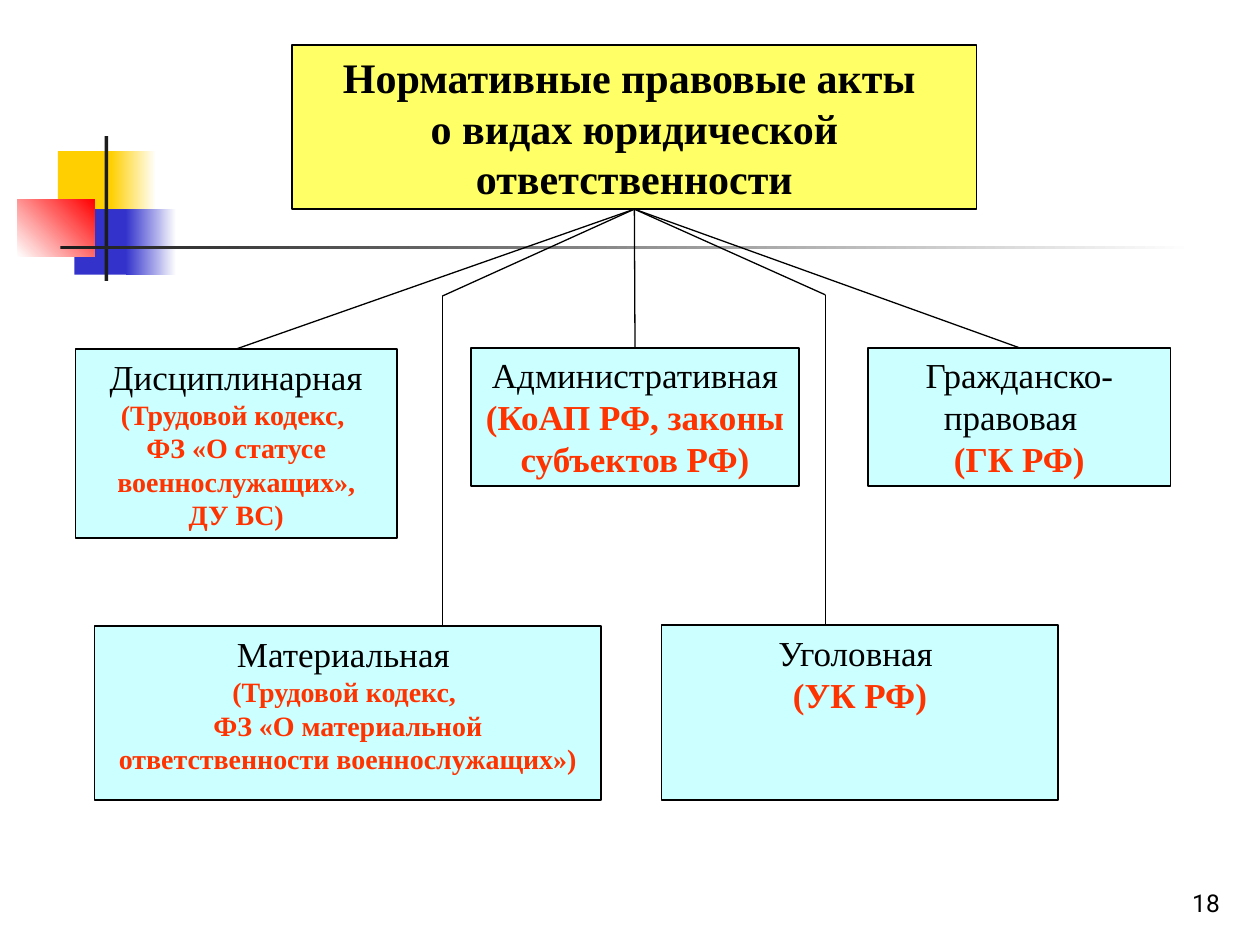
from lxml import etree
from pptx import Presentation
from pptx.dml.color import RGBColor
from pptx.enum import shapes, text
from pptx.oxml.ns import qn
from pptx.util import Inches, Pt

SERIF = "Times New Roman"
BLACK, RED, PALE_BLUE, YELLOW = "000000", "FF3300", "CCFFFF", "FFFF66"
HEADING_BOX = (2.32, 0.36, 5.43, 1.3)
DECORATION = [
    ((0.46, 1.2, 0.48, 0.52), ["FFCF01"], 0),
    ((0.88, 1.2, 0.36, 0.52), ["FFCF01", "FFFFFF"], 0),
    ((0.59, 1.66, 0.46, 0.52), ["3333CC"], 0),
    ((1, 1.66, 0.4, 0.52), ["3333CC", "FFFFFF"], 0),
    ((0.14, 1.58, 0.61, 0.46), ["FFFFFF", "FF0000"], 45),
    ((0.83, 1.08, 0.03, 1.15), ["1C1C1C"], 0),
    ((0.48, 1.95, 9, 0.03), ["1C1C1C", "FFFFFF"], 0),
]


def color(value):
    """Turn a hex string into a colour."""
    return RGBColor.from_string(value)


def place(shape, box):
    """Move and size a shape in inches."""
    shape.left, shape.top, shape.width, shape.height = map(Inches, box)


def add_ornament(slide, box, colors, angle):
    """Add a borderless rectangle with a plain or gradient fill."""
    ornament = slide.shapes.add_shape(
        shapes.MSO_SHAPE.RECTANGLE, *map(Inches, box))
    ornament.shadow.inherit = False
    ornament.line.fill.background()
    if len(colors) == 1:
        ornament.fill.solid()
        ornament.fill.fore_color.rgb = color(colors[0])
        return
    ornament.fill.gradient()
    ornament.fill.gradient_angle = angle
    for stop, value in zip(ornament.fill.gradient_stops, colors):
        stop.color.rgb = color(value)


def frame(shape, fill):
    """Give a shape a solid fill and a thin black outline."""
    shape.fill.solid()
    shape.fill.fore_color.rgb = color(fill)
    shape.line.color.rgb = color(BLACK)
    shape.line.width = Pt(1)


def add_run(paragraph, words, size, hue, bold, font=SERIF):
    """Add one formatted run."""
    run = paragraph.add_run()
    run.text = words
    run.font.name, run.font.size, run.font.bold = font, Pt(size), bold
    run.font.color.rgb = color(hue)


def set_up_text(shape, align, anchor):
    """Prepare a wrapping text frame and return its first paragraph."""
    body = shape.text_frame
    body.word_wrap = True
    body.auto_size = text.MSO_AUTO_SIZE.NONE
    body.vertical_anchor = anchor
    body.paragraphs[0].alignment = align
    return body.paragraphs[0]


def write_centred(shape, lines, size, hue):
    """Write bold centred lines, the first into the current paragraph."""
    paragraph = shape.text_frame.paragraphs[0]
    for number, words in enumerate(lines):
        if number:
            paragraph = shape.text_frame.add_paragraph()
            paragraph.alignment = text.PP_ALIGN.CENTER
        add_run(paragraph, words, size, hue, True)


def add_liability(slide, box, kind, acts, acts_size=20, line_break=False):
    """Add a box with a kind of liability and the acts that govern it."""
    liability = slide.shapes.add_shape(
        shapes.MSO_SHAPE.RECTANGLE, *map(Inches, box))
    liability.shadow.inherit = False
    frame(liability, PALE_BLUE)
    first = set_up_text(liability, text.PP_ALIGN.CENTER, text.MSO_ANCHOR.TOP)
    add_run(first, kind, 20, BLACK, False)
    if line_break:
        first.add_line_break()
    write_centred(liability, acts, acts_size, RED)
    return liability


def add_line(slide, start, end):
    """Add a thin black straight line."""
    line = slide.shapes.add_connector(
        shapes.MSO_CONNECTOR.STRAIGHT, *map(Inches, start + end))
    line.line.color.rgb = color(BLACK)
    line.line.width = Pt(0.75)
    etree.SubElement(line._element.spPr, qn("a:effectLst"))
    return line


def add_heading(slide):
    """Format the title placeholder as the top box."""
    heading = slide.shapes.title
    place(heading, HEADING_BOX)
    frame(heading, YELLOW)
    set_up_text(heading, text.PP_ALIGN.CENTER, text.MSO_ANCHOR.TOP)
    write_centred(heading, ["Нормативные правовые акты ",
                            "о видах юридической ответственности"], 24, BLACK)
    return heading


def add_page_number(slide, number):
    """Add the page number at the bottom right."""
    page = slide.shapes.add_textbox(*map(Inches, (7.7, 6.83, 2.08, 0.5)))
    paragraph = set_up_text(page, text.PP_ALIGN.RIGHT, text.MSO_ANCHOR.BOTTOM)
    add_run(paragraph, number, 14, BLACK, False, "Roboto")


def main():
    """Build the slide on legal liability."""
    deck = Presentation()
    deck.slide_width, deck.slide_height = Inches(10), Inches(7.5)
    slide = deck.slides.add_slide(deck.slide_layouts[5])
    for box, colors, angle in DECORATION:
        add_ornament(slide, box, colors, angle)
    heading = add_heading(slide)

    disciplinary = add_liability(
        slide, (0.6, 2.77, 2.55, 1.5), "Дисциплинарная ",
        ["(Трудовой кодекс, ", "ФЗ «О статусе военнослужащих»,", "ДУ ВС)"], 16)
    administrative = add_liability(
        slide, (3.74, 2.76, 2.6, 1.1), "Административная ",
        ["(КоАП РФ, законы субъектов РФ)"])
    civil = add_liability(
        slide, (6.89, 2.76, 2.4, 1.1), "Гражданско-правовая  ",
        ["(ГК РФ)"], line_break=True)
    add_liability(
        slide, (0.75, 4.97, 4.02, 1.38), "Материальная ",
        ["(Трудовой кодекс, ",
         "ФЗ «О материальной ответственности военнослужащих»)"], 16, True)
    add_liability(slide, (5.25, 4.96, 3.15, 1.39), "Уголовная ",
                  ["(УК РФ)"], line_break=True)

    left, top, width, height = HEADING_BOX
    origin = (left + width / 2, top + height)
    for liability in (disciplinary, administrative, civil):
        branch = add_line(slide, origin, origin)
        branch.begin_connect(heading, 2)
        branch.end_connect(liability, 0)
    for bend, foot in (((3.51, 2.35), 4.97), ((6.55, 2.34), 4.96)):
        add_line(slide, origin, bend).begin_connect(heading, 2)
        add_line(slide, bend, (bend[0], foot))

    add_page_number(slide, "18")
    deck.save("out.pptx")


if __name__ == "__main__":
    main()
